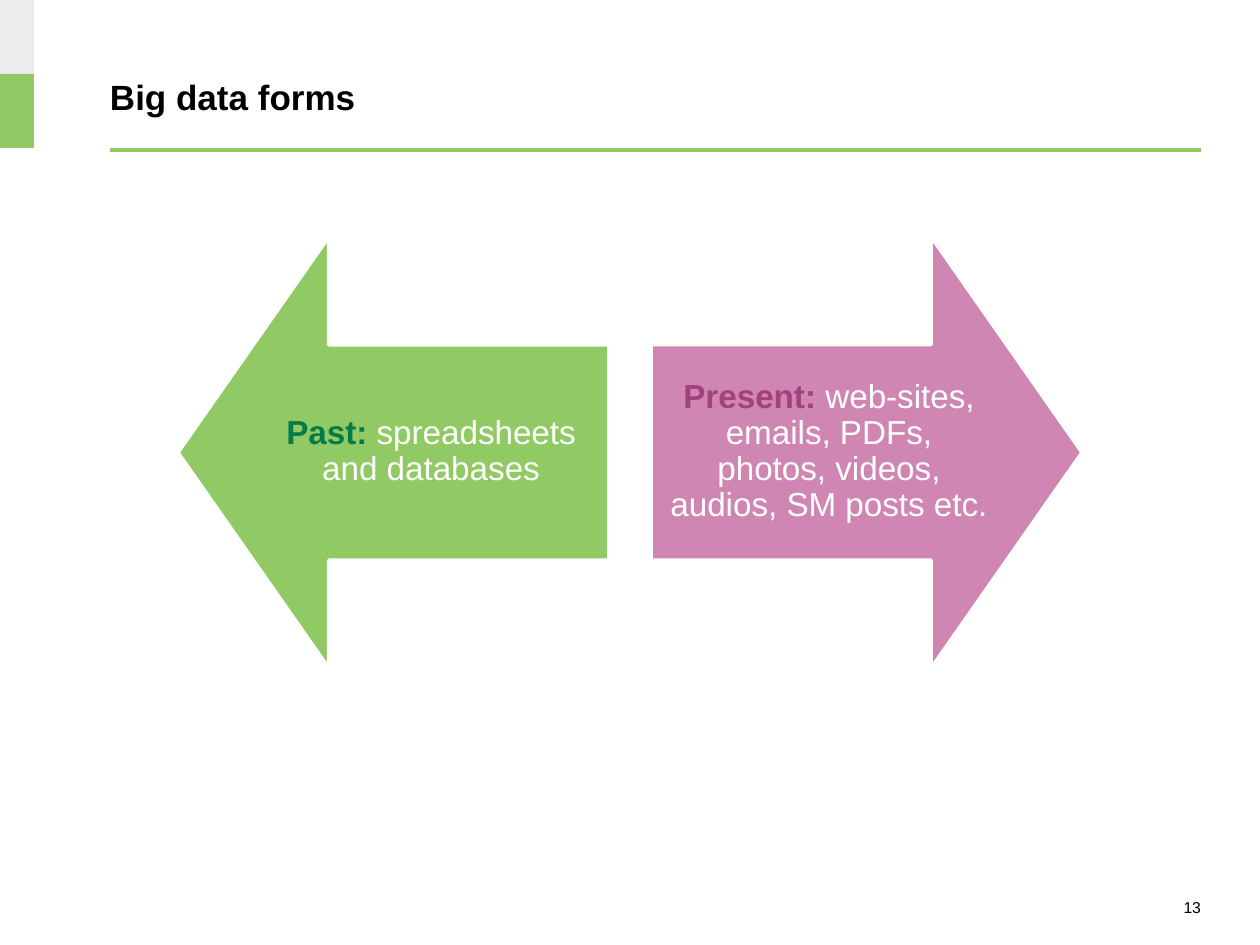
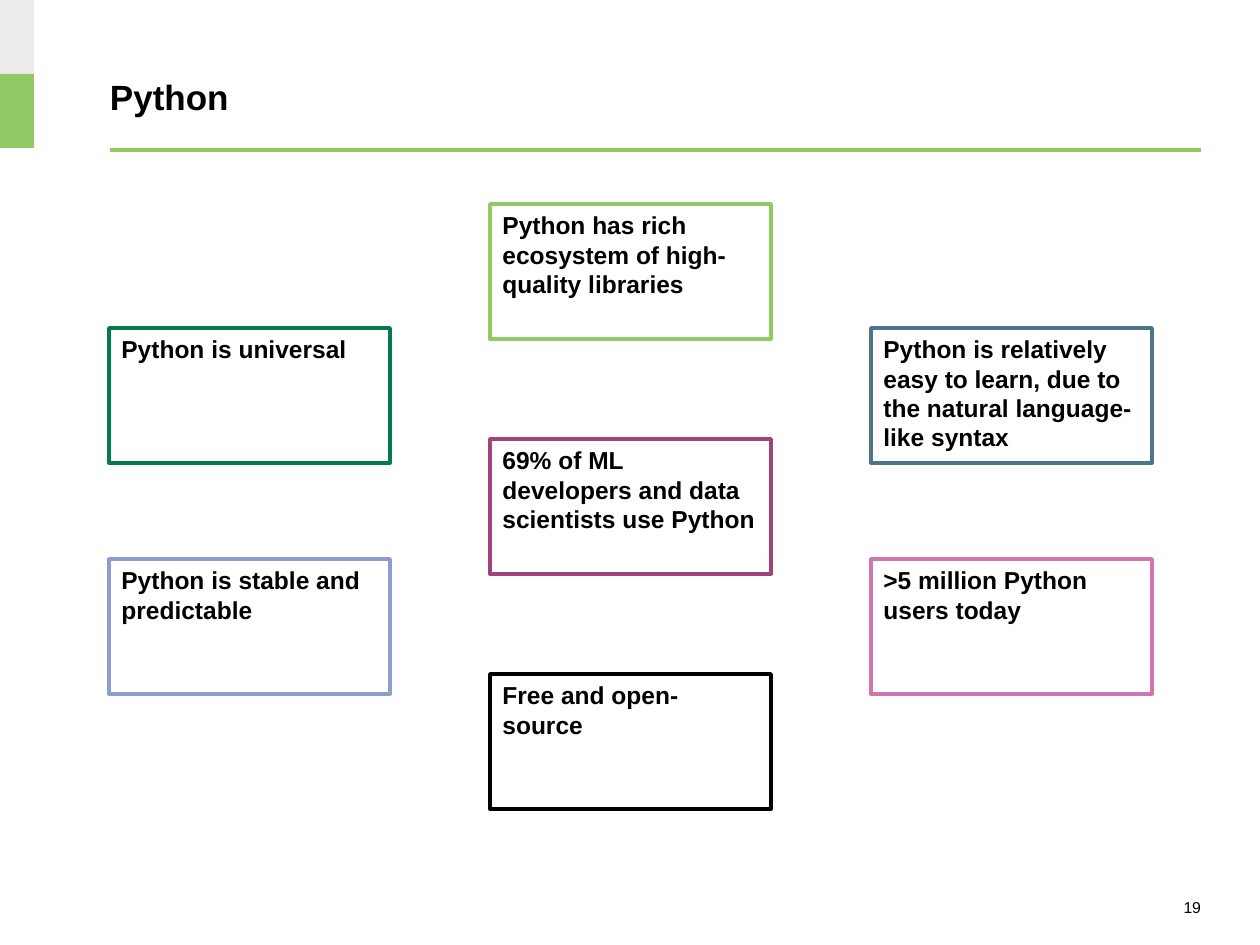
"""Build two slides: forms of big data, and reasons to use Python."""
import pptx
import pptx.dml.color
import pptx.enum.shapes
import pptx.enum.text
import pptx.util

SHAPES = pptx.enum.shapes.MSO_SHAPE
ANCHOR = pptx.enum.text.MSO_ANCHOR
ALIGN = pptx.enum.text.PP_ALIGN
rgb = pptx.dml.color.RGBColor.from_string

FONT = "Arial"
BLACK, WHITE, GREY = "000000", "FFFFFF", "EEEBEE"
GREEN, DARK_GREEN = "91CA64", "057C48"
ROSE, PINK, PLUM = "CF86B2", "CD76B0", "A3417C"
STEEL, PERIWINKLE = "50748A", "8D9DD0"
MARGIN, RULE_Y, CONTENT_WIDTH = 110, 150, 1091


def px(*lengths):
    """Turn pixel lengths into a list of EMU lengths."""
    return [pptx.util.Emu(round(length * 914400 / 126)) for length in lengths]


def add_block(slide, preset, box, fill, outline=None):
    """Add a flat preset shape with an optional 2 pt outline."""
    block = slide.shapes.add_shape(preset, *px(*box))
    block.shadow.inherit = False
    block.fill.solid()
    block.fill.fore_color.rgb = rgb(fill)
    if outline:
        block.line.color.rgb = rgb(outline)
        block.line.width = pptx.util.Pt(2)
    else:
        block.line.fill.background()
    return block


deck = pptx.Presentation()
deck.slide_width, deck.slide_height = px(1260, 945)

slides = []
for heading, page in [("Big data forms", "13"), ("Python", "19")]:
    slide = deck.slides.add_slide(deck.slide_layouts[5])
    slides.append(slide)

    for row, band_colour in enumerate([GREY, GREEN]):
        add_block(slide, SHAPES.RECTANGLE, (0, 74 * row, 34, 74), band_colour)

    rule = slide.shapes.add_connector(
        pptx.enum.shapes.MSO_CONNECTOR.STRAIGHT,
        *px(MARGIN, RULE_Y, MARGIN + CONTENT_WIDTH, RULE_Y))
    rule.line.color.rgb = rgb(GREEN)
    rule.line.width = pptx.util.Pt(2.25)
    rule._element.spPr.add_effectLst() if hasattr(
        rule._element.spPr, "add_effectLst") else rule._element.spPr.append(
        pptx.oxml.parse_xml(
            '<a:effectLst xmlns:a='
            '"http://schemas.openxmlformats.org/drawingml/2006/main"/>'))

    title = slide.shapes.title
    title.left, title.top, title.width, title.height = px(
        MARGIN, 75, CONTENT_WIDTH, 43)
    title.text_frame.text = heading
    title.text_frame.auto_size = pptx.enum.text.MSO_AUTO_SIZE.SHAPE_TO_FIT_TEXT

    page_number = slide.shapes.add_textbox(*px(1027, 895, 174, 25))
    page_number.text_frame.text = page

    for part, size, bold, align in [(title, 20, True, ALIGN.LEFT),
                                    (page_number, 9, False, ALIGN.RIGHT)]:
        frame = part.text_frame
        frame.word_wrap = True
        frame.vertical_anchor = ANCHOR.MIDDLE
        frame.margin_left = frame.margin_right = 0
        frame.margin_top = frame.margin_bottom = 0
        paragraph = frame.paragraphs[0]
        paragraph.alignment = align
        font = paragraph.runs[0].font
        font.name, font.size, font.bold = FONT, pptx.util.Pt(size), bold
        font.color.rgb = rgb(BLACK)

forms_slide, python_slide = slides

eras = [
    (178, 270, GREEN, 253, "Past: ", DARK_GREEN, "spreadsheets and databases"),
    (651, 90, ROSE, 651, "Present: ", PLUM,
     "web-sites, emails, PDFs, photos, videos, audios, SM posts etc."),
]
for arrow_x, turn, fill, text_x, era, era_colour, examples in eras:
    arrow = add_block(forms_slide, SHAPES.UP_ARROW,
                      (arrow_x, 237, 431, 431), fill, WHITE)
    arrow.rotation = turn
    arrow.adjustments[0], arrow.adjustments[1] = 0.5, 0.35

    caption = forms_slide.shapes.add_textbox(*px(text_x, 344, 356, 215))
    frame = caption.text_frame
    frame.word_wrap = True
    frame.vertical_anchor = ANCHOR.MIDDLE
    frame.margin_left, frame.margin_right = px(19, 19)
    frame.margin_top, frame.margin_bottom = px(19, 19)
    paragraph = frame.paragraphs[0]
    paragraph.alignment = ALIGN.CENTER
    paragraph.line_spacing = 0.9
    for words, colour, bold in [(era, era_colour, True),
                                (examples, WHITE, False)]:
        run = paragraph.add_run()
        run.text = words
        run.font.name, run.font.size = FONT, pptx.util.Pt(19)
        run.font.bold = bold
        run.font.color.rgb = rgb(colour)

reason_columns = [
    (328, 231, [("Python is universal", DARK_GREEN),
                ("Python is stable and predictable", PERIWINKLE)]),
    (204, 235, [("Python has rich ecosystem of high-quality libraries", GREEN),
                ("69% of ML developers and data scientists use Python", PLUM),
                ("Free and open-source", BLACK)]),
    (328, 231, [("Python is relatively easy to learn, due to the natural "
                 "language-like syntax", STEEL),
                (">5 million Python users today", PINK)]),
]
for column, (top, pitch, reasons) in enumerate(reason_columns):
    for row, (reason, outline) in enumerate(reasons):
        card = add_block(python_slide, SHAPES.RECTANGLE,
                         (109 + 381 * column, top + pitch * row, 281, 135),
                         WHITE, outline)
        card.text_frame.text = reason
        card.text_frame.word_wrap = True
        card.text_frame.vertical_anchor = ANCHOR.TOP
        paragraph = card.text_frame.paragraphs[0]
        paragraph.alignment = ALIGN.LEFT
        font = paragraph.runs[0].font
        font.name, font.size, font.bold = FONT, pptx.util.Pt(14), True
        font.color.rgb = rgb(BLACK)

deck.save("out.pptx")
